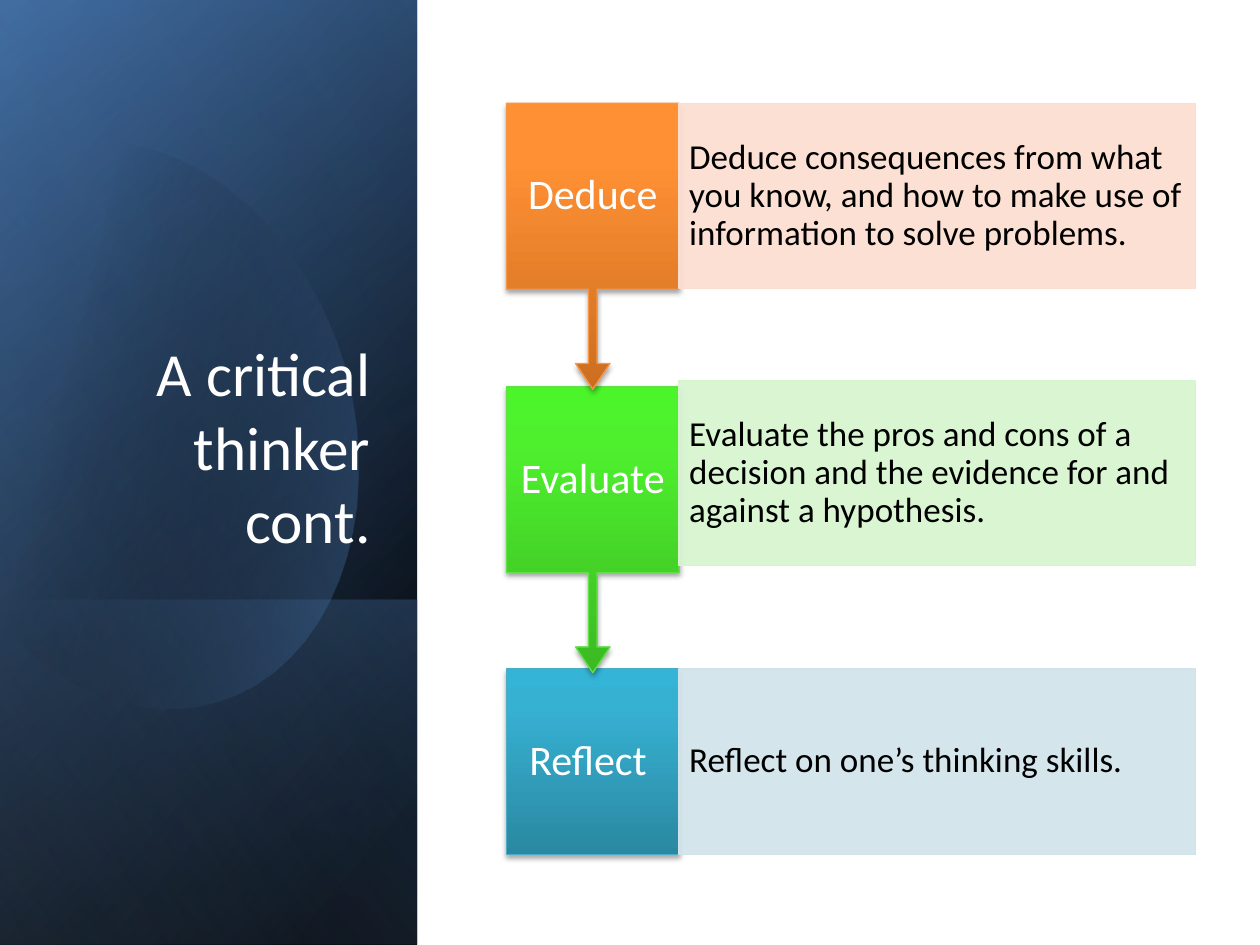
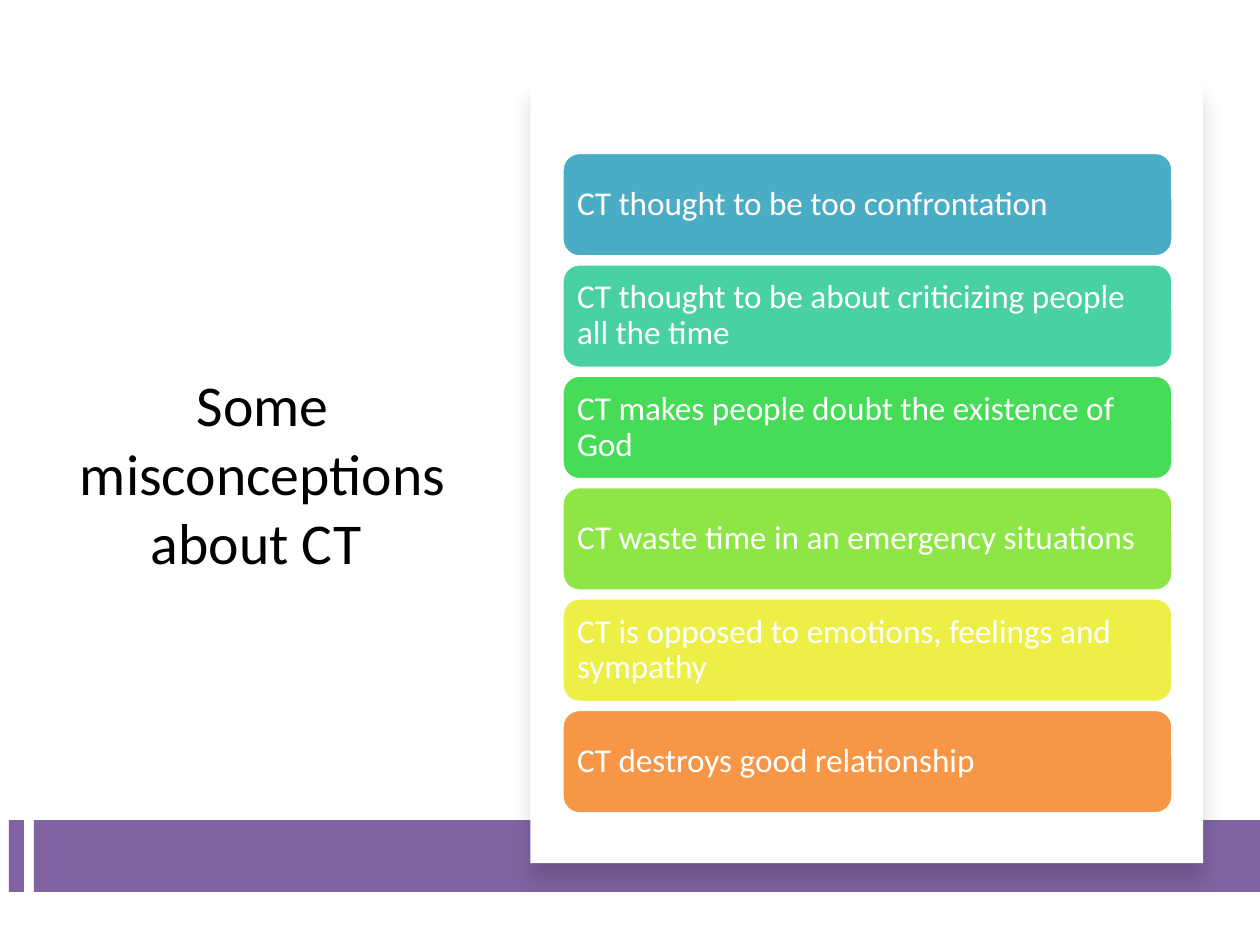
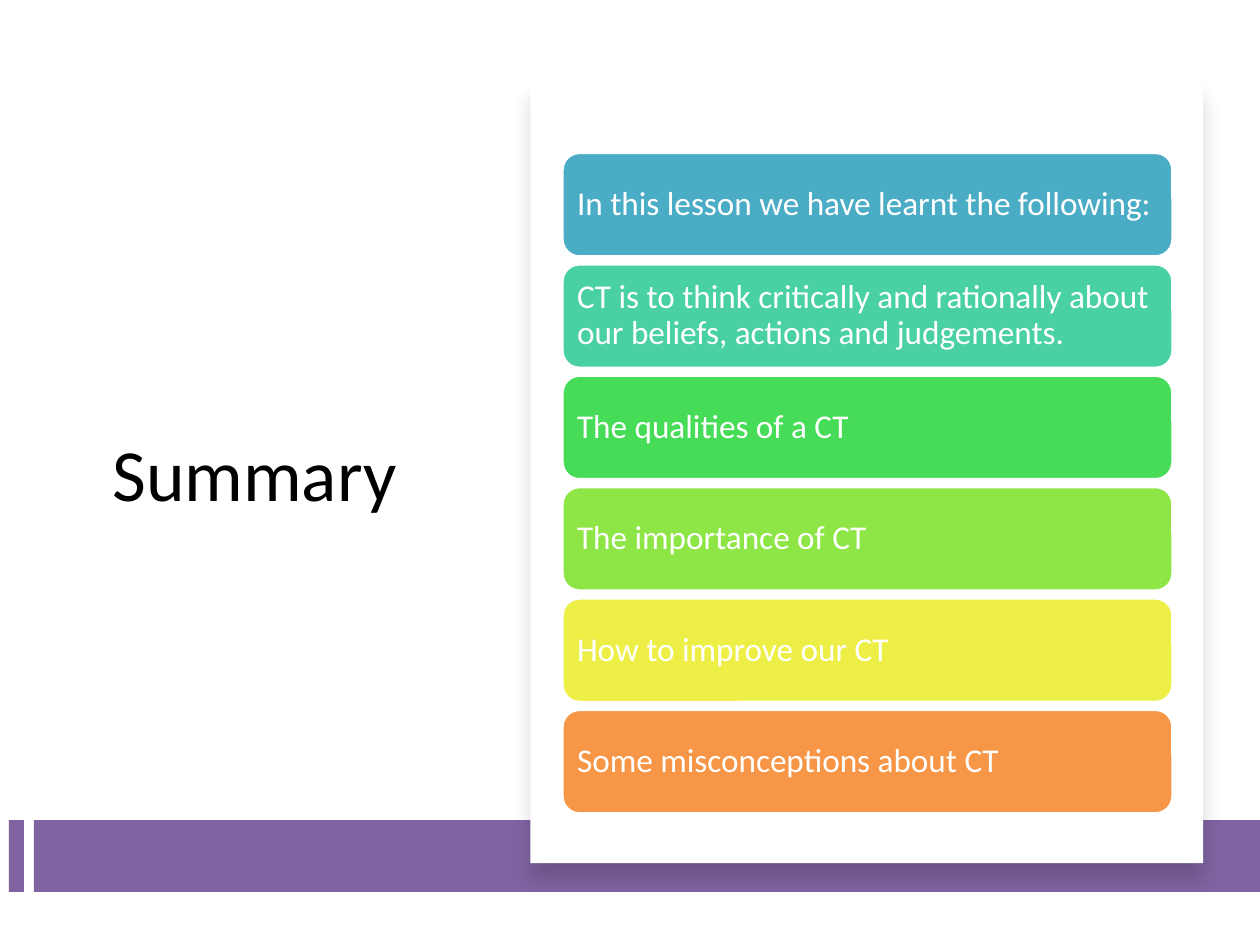
from pptx import Presentation
from pptx.dml.color import RGBColor
from pptx.enum.shapes import MSO_SHAPE as Preset
from pptx.enum.text import MSO_ANCHOR as Anchor, PP_ALIGN as Align
from pptx.oxml import parse_xml
from pptx.oxml.ns import nsdecls, qn
from pptx.util import Inches, Pt

rgb = RGBColor.from_string
FONT = "Calibri"
WHITE, BLACK, PURPLE, BLUE = "FFFFFF", "000000", "8064A2", "4F81BD"


def style(shape, stops, angle=0, line=None, line_width=0.75, shadow=None):
    colors = [
        f'<a:srgbClr val="{color}"><a:alpha val="{alpha * 1000}"/></a:srgbClr>'
        for position, color, alpha in stops
    ]
    if len(stops) == 1:
        fill = f'<a:solidFill {nsdecls("a")}>{colors[0]}</a:solidFill>'
    else:
        marks = "".join(
            f'<a:gs pos="{stop[0] * 1000}">{color}</a:gs>' for stop, color in zip(stops, colors)
        )
        fill = (
            f'<a:gradFill {nsdecls("a")} rotWithShape="1"><a:gsLst>{marks}</a:gsLst>'
            f'<a:lin ang="{angle * 60000}" scaled="0"/></a:gradFill>'
        )
    shape.fill.background()
    properties = shape.element.spPr
    properties.replace(properties.find(qn("a:noFill")), parse_xml(fill))
    if line:
        shape.line.color.rgb = rgb(line)
        shape.line.width = Pt(line_width)
    else:
        shape.line.fill.background()
    shape.shadow.inherit = False
    if shadow:
        alpha, blur, distance = shadow
        properties.find(qn("a:effectLst")).append(parse_xml(
            f'<a:outerShdw {nsdecls("a")} blurRad="{Pt(blur)}" dist="{Pt(distance)}" '
            f'dir="5400000" algn="ctr" rotWithShape="0"><a:srgbClr val="{BLACK}">'
            f'<a:alpha val="{alpha * 1000}"/></a:srgbClr></a:outerShdw>'
        ))


def write(shape, text, size, color, align=Align.LEFT, anchor=Anchor.MIDDLE,
          insets=(0.1, 0.05), spacing=None):
    frame = shape.text_frame
    frame.word_wrap = True
    frame.vertical_anchor = anchor
    frame.margin_left = frame.margin_right = Inches(insets[0])
    frame.margin_top = frame.margin_bottom = Inches(insets[1])
    paragraph = frame.paragraphs[0]
    paragraph.text = text
    paragraph.alignment = align
    paragraph.line_spacing = spacing
    paragraph.font.name = FONT
    paragraph.font.size = Pt(size)
    paragraph.font.color.rgb = rgb(color)


presentation = Presentation()
presentation.slide_width = Inches(10)
presentation.slide_height = Inches(7.5)
blank = presentation.slide_layouts[6]

slide = presentation.slides.add_slide(blank)
panel_width = Inches(3.31)
panel_layers = [
    (0, 7.5, 220, [(8, BLACK, 100), (100, "376092", 100)]),
    (0, 7.5, 240, [(0, BLACK, 0), (99, BLUE, 46)]),
    (4.76, 2.74, 140, [(2, BLUE, 29), (100, BLACK, 30)]),
    (0, 7.5, 150, [(0, BLACK, 0), (99, "95B3D7", 11)]),
]
for top, height, angle, stops in panel_layers[:3]:
    layer = slide.shapes.add_shape(Preset.RECTANGLE, 0, Inches(top), panel_width, Inches(height))
    style(layer, stops, angle)

blob_start = (0.96, 1.14)
blob_curves = [
    [(1.71, 1.22), (2.44, 1.92), (2.73, 2.9)],
    [(3.07, 4.12), (2.62, 5.31), (1.71, 5.57)],
    [(1.14, 5.74), (0.53, 5.5), (0.07, 5)],
    [(-0.03, 4.88)],
    [(-0.25, 1.66)],
    [(-0.15, 1.54)],
    [(0.02, 1.37), (0.22, 1.25), (0.45, 1.18)],
    [(0.62, 1.13), (0.79, 1.12), blob_start],
]
blob_points = [blob_start]
for curve in blob_curves:
    if len(curve) == 1:
        blob_points += curve
        continue
    corners = [blob_points[-1], *curve]
    for step in range(1, 17):
        t = step / 16
        weights = [(1 - t) ** 3, 3 * t * (1 - t) ** 2, 3 * t ** 2 * (1 - t), t ** 3]
        blob_points.append(tuple(
            sum(weight * corner[axis] for weight, corner in zip(weights, corners))
            for axis in (0, 1)
        ))
outline = [(Inches(x), Inches(y)) for x, y in blob_points]
builder = slide.shapes.build_freeform(*outline[0])
builder.add_line_segments(outline[1:], close=True)
style(builder.convert_to_shape(), [(29, BLACK, 0), (100, BLUE, 43)], 14)

top, height, angle, stops = panel_layers[3]
layer = slide.shapes.add_shape(Preset.RECTANGLE, 0, Inches(top), panel_width, Inches(height))
style(layer, stops, angle)

title = slide.shapes.add_textbox(Inches(0.48), Inches(1.84), Inches(2.56), Inches(2.62))
write(title, "A critical thinker cont.", 35, WHITE, Align.RIGHT, Anchor.BOTTOM)

steps = [
    ("Reflect ", "Reflect on one’s thinking skills.", 5.31, 5.31,
     ("2A88A2", "37B1D2", "34B4D6"), "4BACC6", "D0E3EA"),
    ("Evaluate",
     "Evaluate the pros and cons of a decision and the evidence for and against a hypothesis.",
     3.07, 3.02, ("3CB923", "4EF02E", "4CF52A"), "60E146", "D6F4CE"),
    ("Deduce",
     "Deduce consequences from what you know, and how to make use of information to solve problems.",
     0.82, 0.82, ("CC6E20", "FF9034", "FF9136"), "F79646", "FCDDCF"),
]
for index, (label, detail, top, detail_top, shades, border, tint) in enumerate(steps):
    is_last_step = index == 0
    box = slide.shapes.add_shape(
        Preset.RECTANGLE if is_last_step else Preset.DOWN_ARROW_CALLOUT,
        Inches(4.02), Inches(top), Inches(1.37), Inches(1.47 if is_last_step else 2.27))
    if not is_last_step:
        for number, value in enumerate((0.05, 0.1, 0.15, 0.65)):
            box.adjustments[number] = value
    stops = [(position, shade, 100) for position, shade in zip((0, 80, 100), shades)]
    style(box, stops, 270, border, shadow=(35, 3.1, 1.8))
    write(box, label, 24, WHITE, Align.CENTER, insets=(0.1, 0.19), spacing=0.9)

    detail_box = slide.shapes.add_shape(
        Preset.RECTANGLE, Inches(5.39), Inches(detail_top), Inches(4.1), Inches(1.47))
    style(detail_box, [(0, tint, 90)], line=tint)
    write(detail_box, detail, 20, BLACK, insets=(0.08, 0.28), spacing=0.9)

row_colors = ["4BACC6", "49D1A3", "47DC57", "8DE646", "EEEF46", "F79646"]
first_row, last_row = 1.21, 5.63
row_pitch = (last_row - first_row) / (len(row_colors) - 1)
list_slides = [
    ("Some misconceptions about CT ", 33, [
        "CT thought to be too confrontation",
        "CT thought to be about criticizing people all the time",
        "CT makes people doubt the existence of God",
        "CT waste time in an emergency situations",
        "CT is opposed to emotions, feelings and sympathy",
        "CT destroys good relationship",
    ]),
    ("Summary ", 42, [
        "In this lesson we have learnt the following:",
        "CT is to think critically and rationally about our beliefs, actions and judgements.",
        "The qualities of a CT",
        "The importance of CT",
        "How to improve our CT",
        "Some misconceptions about CT",
    ]),
]
for heading, heading_size, rows in list_slides:
    slide = presentation.slides.add_slide(blank)
    title = slide.shapes.add_textbox(Inches(0.53), Inches(1.2), Inches(3.11), Inches(5.1))
    write(title, heading, heading_size, BLACK, Align.CENTER)

    for left, width in ((0.07, 0.12), (0.27, 9.73)):
        band = slide.shapes.add_shape(
            Preset.RECTANGLE, Inches(left), Inches(6.51), Inches(width), Inches(0.57))
        style(band, [(0, PURPLE, 100)])

    card = slide.shapes.add_shape(
        Preset.RECTANGLE, Inches(4.21), Inches(0.64), Inches(5.34), Inches(6.21))
    style(card, [(0, WHITE, 100)], shadow=(15, 11, 10))

    for index, (text, color) in enumerate(zip(rows, row_colors)):
        row = slide.shapes.add_shape(
            Preset.ROUNDED_RECTANGLE, Inches(4.46), Inches(first_row + index * row_pitch),
            Inches(4.85), Inches(0.83))
        style(row, [(0, color, 100)], line=WHITE, line_width=2)
        write(row, text, 19, WHITE, insets=(0.08, 0.08), spacing=0.9)

presentation.save("out.pptx")
